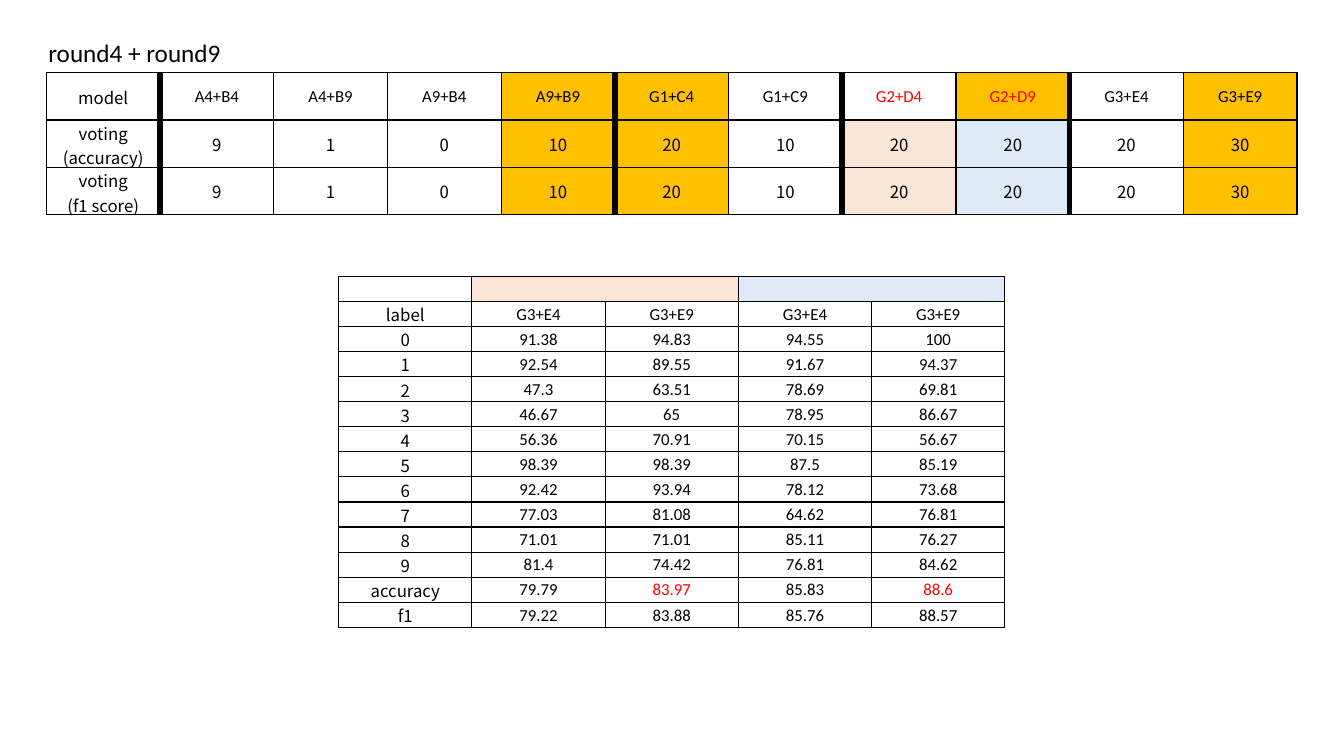
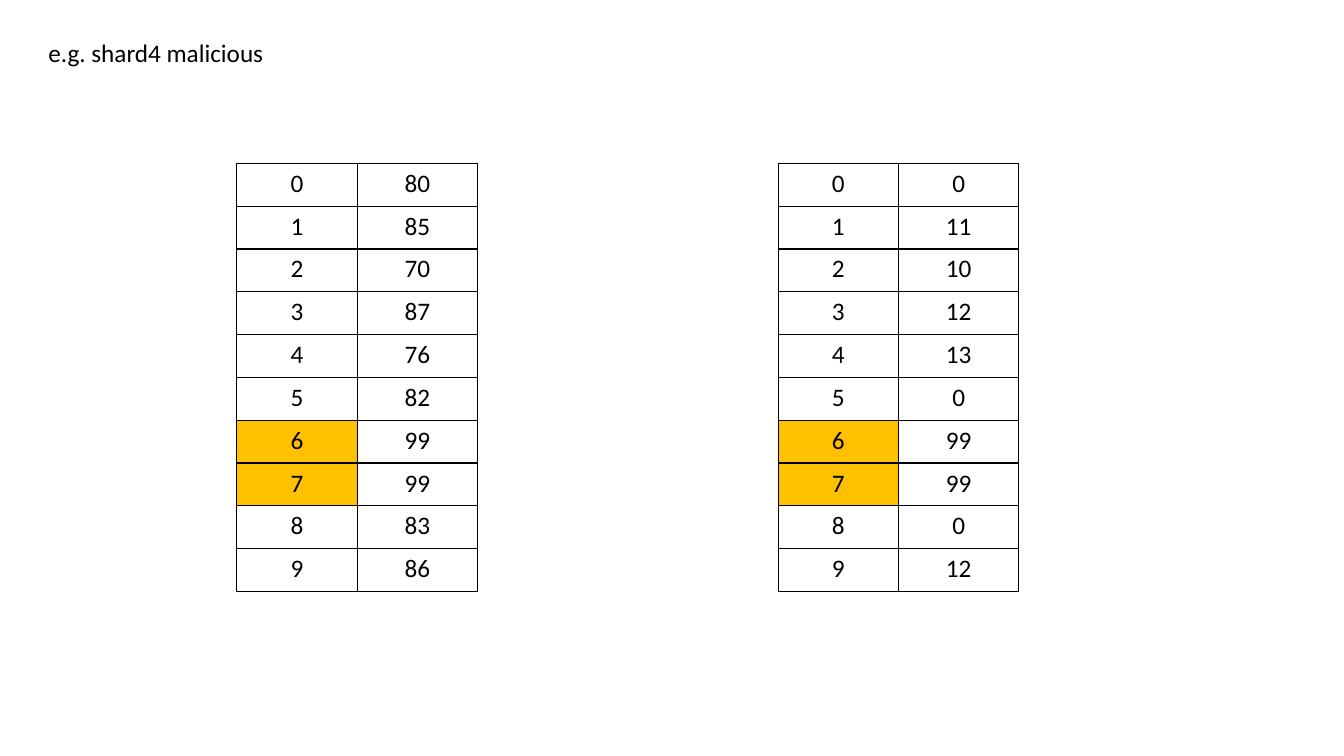
from dataclasses import dataclass
from itertools import product

from pptx import Presentation
from pptx.dml.color import RGBColor
from pptx.enum.text import MSO_ANCHOR, MSO_AUTO_SIZE, PP_ALIGN
from pptx.oxml.ns import qn
from pptx.util import Inches, Pt
from lxml.etree import SubElement


@dataclass(frozen=True)
class Theme:
    ink: str = "000000"
    red: str = "FF0000"
    gold: str = "FFC000"
    peach: str = "FBE5D6"
    sky: str = "DEEBF7"
    sans: str = "Calibri"
    label: str = "Noto Sans CJK KR"
    big: int = 18
    small: int = 12
    thin: float = 1
    thick: float = 4.5


THEME = Theme()
COLS, ROWS = 133.33, 75
VOTES = [
    ["model", "A4+B4", "A4+B9", "A9+B4", "A9+B9", "G1+C4",
     "G1+C9", "G2+D4", "G2+D9", "G3+E4", "G3+E9"],
    ["voting\n(accuracy)", 9, 1, 0, 10, 20, 10, 20, 20, 20, 30],
    ["voting\n(f1 score)", 9, 1, 0, 10, 20, 10, 20, 20, 20, 30],
]
SCORES = [
    ["", "", "", "", ""],
    ["label", "G3+E4", "G3+E9", "G3+E4", "G3+E9"],
    [0, 91.38, 94.83, 94.55, 100],
    [1, 92.54, 89.55, 91.67, 94.37],
    [2, 47.3, 63.51, 78.69, 69.81],
    [3, 46.67, 65, 78.95, 86.67],
    [4, 56.36, 70.91, 70.15, 56.67],
    [5, 98.39, 98.39, 87.5, 85.19],
    [6, 92.42, 93.94, 78.12, 73.68],
    [7, 77.03, 81.08, 64.62, 76.81],
    [8, 71.01, 71.01, 85.11, 76.27],
    [9, 81.4, 74.42, 76.81, 84.62],
    ["accuracy", 79.79, 83.97, 85.83, 88.6],
    ["f1", 79.22, 83.88, 85.76, 88.57],
]
SHARDS = {
    23.5: [80, 85, 70, 87, 76, 82, 99, 99, 83, 86],
    77.2: [0, 11, 10, 12, 13, 0, 99, 99, 0, 12],
}


def grid(count):
    return Inches(count / 10)


def style(font, size, face, color):
    font.size = Pt(size)
    font.name = face
    font.bold = False
    font.color.rgb = RGBColor.from_string(color)


def add_page(deck, text, width):
    slide = deck.slides.add_slide(deck.slide_layouts[5])
    title = slide.shapes.title
    title.left, title.top = grid(3.8), grid(3.2)
    title.width, title.height = grid(width), grid(4)
    frame = title.text_frame
    frame.text = text
    frame.word_wrap = False
    frame.auto_size = MSO_AUTO_SIZE.SHAPE_TO_FIT_TEXT
    frame.vertical_anchor = MSO_ANCHOR.TOP
    line = frame.paragraphs[0]
    line.alignment = PP_ALIGN.LEFT
    style(line.runs[0].font, THEME.big, THEME.sans, THEME.ink)
    return slide


def rule(cell, widths):
    props = cell._tc.get_or_add_tcPr()
    for side in "LRTB":
        width = widths.get(side, THEME.thin)
        edge = SubElement(props, qn(f"a:ln{side}"), w=str(Pt(width)))
        fill = SubElement(edge, qn("a:solidFill"))
        SubElement(fill, qn("a:srgbClr"), val=THEME.ink)


def paint(cell, color):
    if color:
        cell.fill.solid()
        cell.fill.fore_color.rgb = RGBColor.from_string(color)
    else:
        cell.fill.background()


def tighten(cell):
    cell.margin_left = cell.margin_right = cell.margin_top = grid(0.1)
    cell.margin_bottom = 0
    cell.vertical_anchor = MSO_ANCHOR.MIDDLE


def write(cell, value, size, face, color):
    cell.text_frame.text = str(value)
    for line in cell.text_frame.paragraphs:
        line.alignment = PP_ALIGN.CENTER
        for run in line.runs:
            style(run.font, size, face, color)
        if not line.runs:
            SubElement(line._p, qn("a:endParaRPr"), sz=str(size * 100))


def add_grid(slide, data, spot, step, size, fills, reds=(), labels=(),
             edges=None, tight=True):
    rows, cols = len(data), len(data[0])
    wide, high = step
    table = slide.shapes.add_table(
        rows, cols, grid(spot[0]), grid(spot[1]),
        grid(wide * cols), grid(high * rows)).table
    table.first_row = table.horz_banding = False
    for place in product(range(rows), range(cols)):
        row, col = place
        cell = table.cell(row, col)
        face = THEME.label if place in labels else THEME.sans
        color = THEME.red if place in reds else THEME.ink
        write(cell, data[row][col], size, face, color)
        rule(cell, (edges or {}).get(col, {}))
        paint(cell, fills.get(place))
        if tight:
            tighten(cell)
    return table


def add_votes(slide):
    fills = {place: THEME.gold for place in product(range(3), (4, 5, 10))}
    fills[0, 8] = THEME.gold
    for row in (1, 2):
        fills[row, 7], fills[row, 8] = THEME.peach, THEME.sky
    labels = {(0, 0), *product((1, 2), range(11))}
    edges = {}
    for col in (0, 4, 6, 8):
        edges[col] = {"R": THEME.thick}
        edges[col + 1] = {"L": THEME.thick}
    add_grid(slide, VOTES, (4.6, 7.2), (11.28, 4.7), THEME.small, fills,
             reds={(0, 7), (0, 8)}, labels=labels, edges=edges)


def add_scores(slide):
    fills = {(0, 1): THEME.peach, (0, 3): THEME.sky}
    labels = set(product(range(len(SCORES)), (0,)))
    table = add_grid(slide, SCORES, (33.6, 27.4), (13.22, 2.49), THEME.small,
                     fills, reds={(12, 2), (12, 4)}, labels=labels)
    for col in (1, 3):
        table.cell(0, col).merge(table.cell(0, col + 1))


def add_shards(slide):
    fills = {(6, 0): THEME.gold, (7, 0): THEME.gold}
    for left, values in SHARDS.items():
        add_grid(slide, list(enumerate(values)), (left, 16.2), (11.94, 4.25),
                 THEME.big, fills, tight=False)


def main():
    deck = Presentation()
    deck.slide_width, deck.slide_height = grid(COLS), grid(ROWS)
    first = add_page(deck, "round4 + round9", 19.3)
    add_votes(first)
    add_scores(first)
    add_shards(add_page(deck, "e.g. shard4 malicious", 23.6))
    deck.save("out.pptx")


main()
